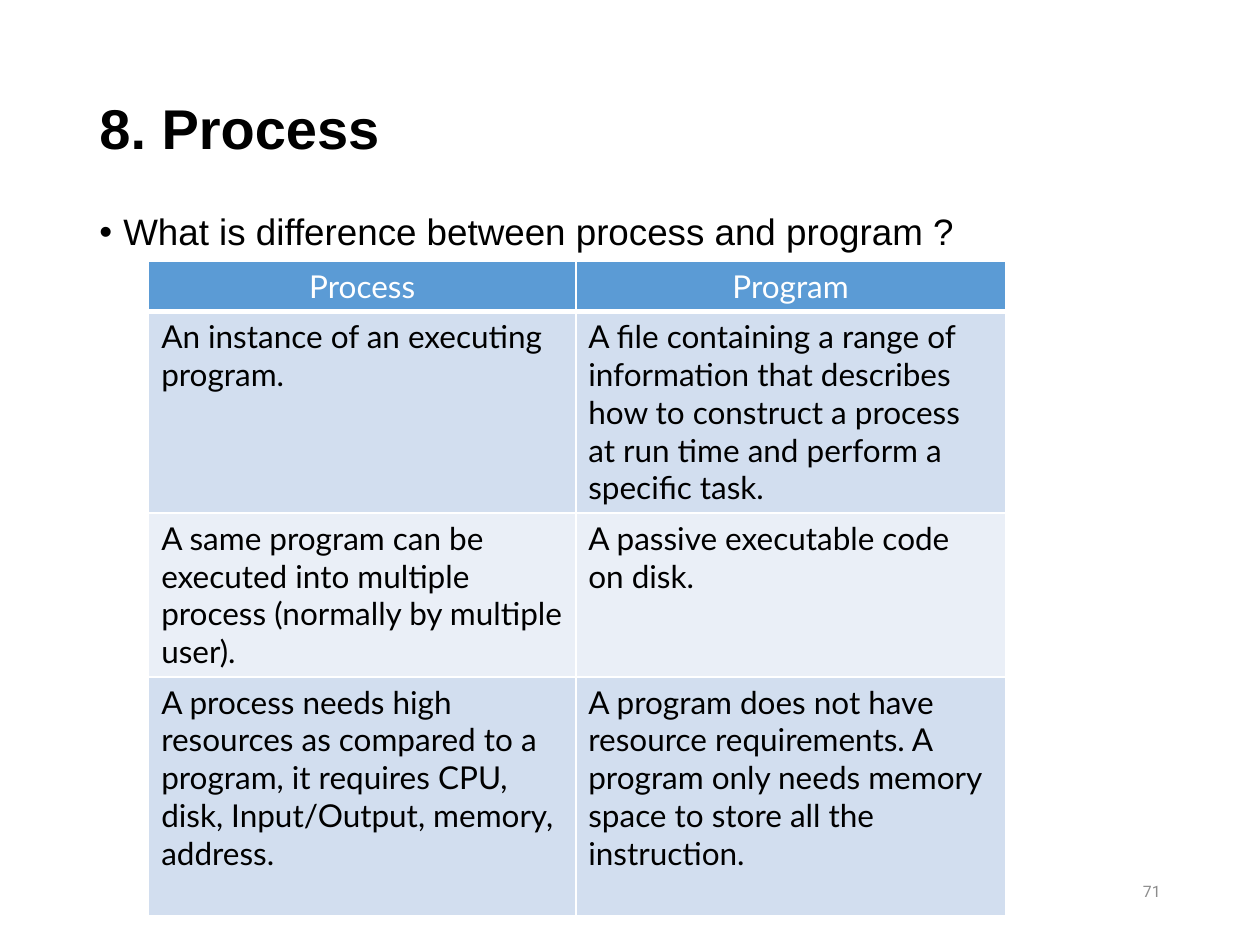
"""Build a slide comparing a process with a program."""
import pptx
import pptx.dml.color
import pptx.enum.text
import pptx.oxml
import pptx.oxml.ns
import pptx.util
from pptx.dml.color import RGBColor
from pptx.util import Inches

BLACK = RGBColor(0x00, 0x00, 0x00)
WHITE = RGBColor(0xFF, 0xFF, 0xFF)
GRAY = RGBColor(0x8C, 0x8C, 0x8C)
HEADER_BLUE = RGBColor(0x5B, 0x9B, 0xD5)
BAND_DARK = RGBColor(0xD2, 0xDE, 0xEF)
BAND_LIGHT = RGBColor(0xEA, 0xEF, 0xF7)
ALIGN = pptx.enum.text.PP_ALIGN
ANCHOR = pptx.enum.text.MSO_ANCHOR


def add_run(paragraph, text, font_name, size, color, bold=False):
    run = paragraph.add_run()
    run.text = text
    run.font.name = font_name
    run.font.size = pptx.util.Pt(size)
    run.font.color.rgb = color
    run.font.bold = bold


def add_text_box(slide, left, top, width, height, anchor):
    shape = slide.shapes.add_textbox(Inches(left), Inches(top), Inches(width), Inches(height))
    shape.text_frame.word_wrap = True
    shape.text_frame.vertical_anchor = anchor
    return shape.text_frame.paragraphs[0]


presentation = pptx.Presentation()
presentation.slide_width = Inches(10)
presentation.slide_height = Inches(7.5)
slide = presentation.slides.add_slide(presentation.slide_layouts[6])

title = add_text_box(slide, 0.69, 0.32, 8.62, 1.45, ANCHOR.MIDDLE)
title.line_spacing = 0.9
add_run(title, "8. Process", "Arial", 32, BLACK, bold=True)

question = add_text_box(slide, 0.69, 1.65, 8.62, 4.76, ANCHOR.TOP)
question.line_spacing = 0.9
properties = question._p.get_or_add_pPr()
properties.set("marL", str(Inches(0.19)))
properties.set("indent", str(-Inches(0.19)))
namespace = pptx.oxml.ns.nsdecls("a")
properties.append(pptx.oxml.parse_xml(f'<a:buFont {namespace} typeface="Arial"/>'))
properties.append(pptx.oxml.parse_xml(f'<a:buChar {namespace} char="•"/>'))
add_run(question, "What is difference between process and program ?", "Arial", 21, BLACK)

table_rows = [
    ("Process", "Program"),
    (
        "An instance of an executing program.",
        "A file containing a range of information that describes how to construct "
        "a process at run time and perform a specific task.",
    ),
    (
        "A same program can be executed into multiple process (normally by multiple user).",
        "A passive executable code on disk.",
    ),
    (
        "A process needs high resources as compared to a program, it requires CPU, "
        "disk, Input/Output, memory, address.",
        "A program does not have resource requirements. A program only needs memory "
        "space to store all the instruction.",
    ),
]
column_widths = [3.39, 3.41]
row_heights = [0.4, 1.6, 1.3, 1.9]
row_fills = [HEADER_BLUE, BAND_DARK, BAND_LIGHT, BAND_DARK]

table = slide.shapes.add_table(
    len(table_rows), len(column_widths),
    Inches(1.18), Inches(2.07), Inches(sum(column_widths)), Inches(sum(row_heights)),
).table
for column, width in zip(table.columns, column_widths):
    column.width = Inches(width)
for row_index, texts in enumerate(table_rows):
    is_header = row_index == 0
    table.rows[row_index].height = Inches(row_heights[row_index])
    for column_index, text in enumerate(texts):
        cell = table.cell(row_index, column_index)
        paragraph = cell.text_frame.paragraphs[0]
        paragraph.alignment = ALIGN.CENTER if is_header else ALIGN.LEFT
        add_run(paragraph, text, "Lato", 18, WHITE if is_header else BLACK)
        cell_properties = cell._tc.get_or_add_tcPr()
        for side in ("lnL", "lnR", "lnT", "lnB"):
            points = 3 if is_header and side == "lnB" else 1
            cell_properties.append(pptx.oxml.parse_xml(
                f'<a:{side} {namespace} w="{pptx.util.Pt(points)}"><a:solidFill>'
                f'<a:srgbClr val="{WHITE}"/></a:solidFill></a:{side}>'
            ))
        cell.fill.solid()
        cell.fill.fore_color.rgb = row_fills[row_index]

page_number = add_text_box(slide, 7.06, 6.87, 2.25, 0.4, ANCHOR.MIDDLE)
page_number.alignment = ALIGN.RIGHT
add_run(page_number, "71", "Roboto", 9, GRAY)

presentation.save("out.pptx")
